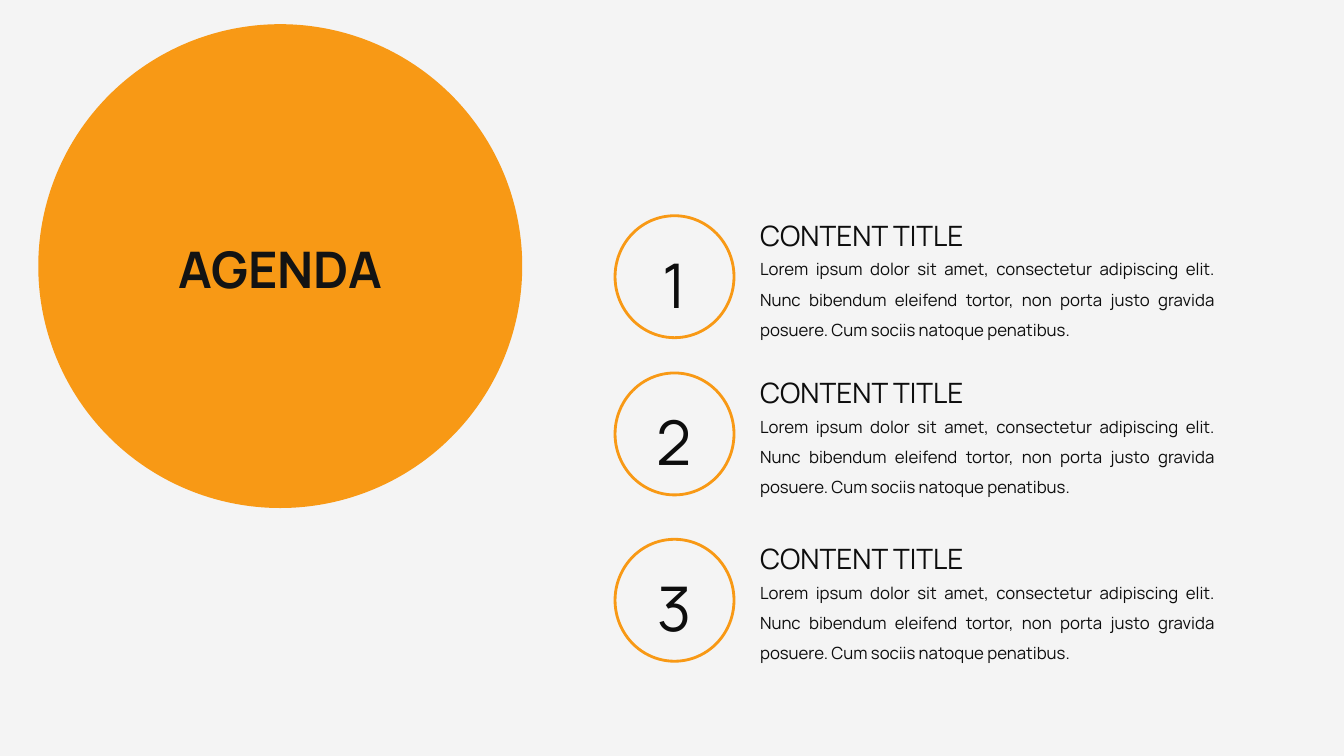
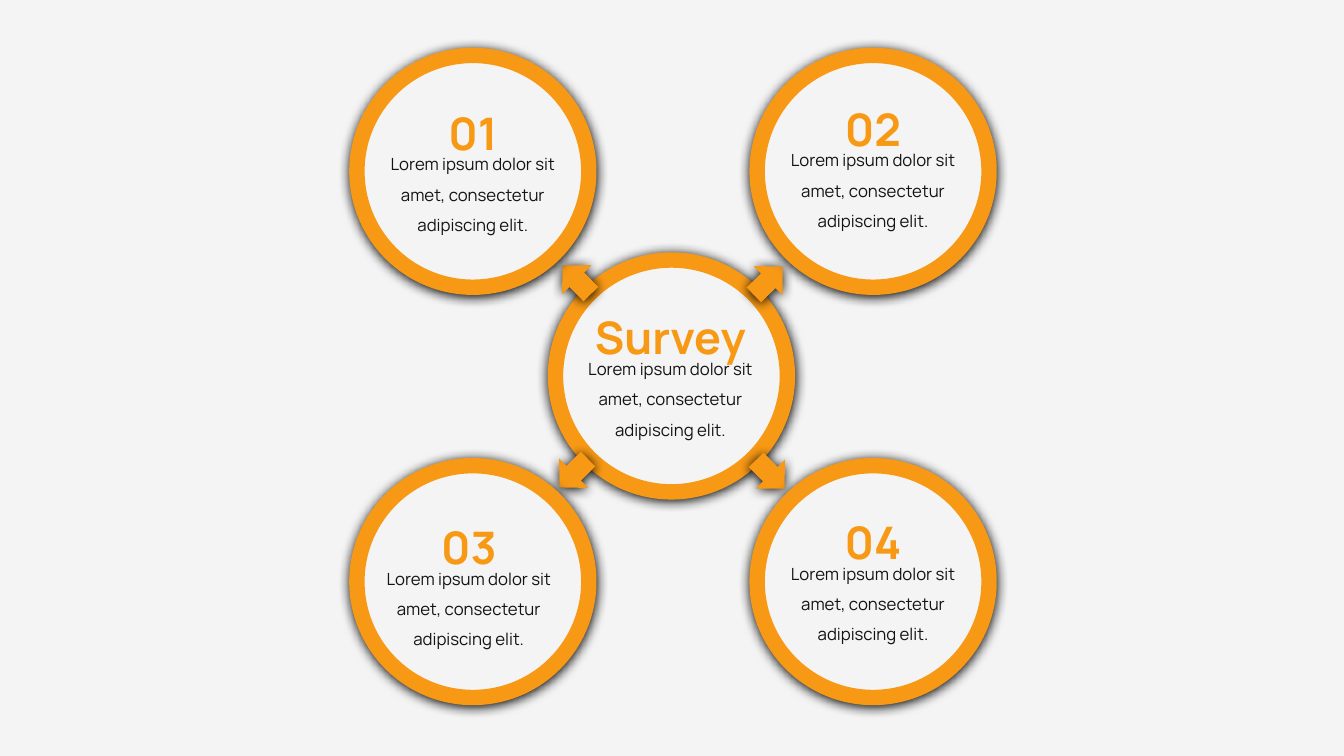
"""Build an agenda slide and a survey slide with a shared orange circle style."""
from lxml.etree import SubElement
from pptx import Presentation
from pptx.dml.color import RGBColor
from pptx.enum.shapes import MSO_SHAPE as Shape
from pptx.enum.text import MSO_AUTO_SIZE as AutoSize, PP_ALIGN as Align
from pptx.oxml.ns import qn
from pptx.util import Pt

PX = 9144
ORANGE = RGBColor(0xF8, 0x99, 0x15)
PAPER = RGBColor(0xF4, 0xF4, 0xF4)
INK = RGBColor(0x0D, 0x0D, 0x0D)
CHARCOAL = RGBColor(0x13, 0x13, 0x13)

AGENDA_TITLE = {"size": Pt(36), "bold": True, "color": CHARCOAL}
NUMBER = {"size": Pt(44), "color": INK}
CONTENT_TITLE = {"size": Pt(20), "color": INK}
CONTENT_BODY = {"size": Pt(12), "color": INK}
RING_TITLE = {"size": Pt(32), "bold": True, "color": ORANGE}
RING_BODY = {"size": Pt(12), "color": CHARCOAL}

SHORT_TEXT = "Lorem ipsum dolor sit amet, consectetur adipiscing elit."
LONG_TEXT = (SHORT_TEXT + " Nunc bibendum eleifend tortor, non porta justo "
             "gravida posuere. Cum sociis natoque penatibus.")


def add_figure(slide, kind, box, fill=None, line_width=0, rotation=0, shadow=False):
    shape = slide.shapes.add_shape(kind, *(value * PX for value in box))
    shape.rotation = rotation
    if fill is None:
        shape.fill.background()
    else:
        shape.fill.solid()
        shape.fill.fore_color.rgb = fill
    if line_width:
        shape.line.color.rgb = ORANGE
        shape.line.width = Pt(line_width)
    else:
        shape.line.fill.background()
    shape.shadow.inherit = False
    if shadow:
        effects = shape._element.spPr.find(qn("a:effectLst"))
        outer = SubElement(effects, qn("a:outerShdw"), blurRad=str(Pt(8.5)), dist=str(Pt(1)),
                           dir="5400000", algn="t", rotWithShape="0")
        SubElement(outer, qn("a:srgbClr"), val="000000")


def add_text(slide, text, box, style, align=Align.CENTER):
    frame = slide.shapes.add_textbox(*(value * PX for value in box)).text_frame
    frame.word_wrap = True
    frame.auto_size = AutoSize.SHAPE_TO_FIT_TEXT
    paragraph = frame.paragraphs[0]
    paragraph.alignment = align
    paragraph.line_spacing = 1.5
    run = paragraph.add_run()
    run.text = text
    run.font.name = "Manrope"
    for name, value in style.items():
        if name == "color":
            run.font.color.rgb = value
        else:
            setattr(run.font, name, value)


presentation = Presentation()
presentation.slide_width = 1333 * PX
presentation.slide_height = 750 * PX
slides = []
for _ in range(2):
    slide = presentation.slides.add_slide(presentation.slide_layouts[6])
    slide.background.fill.solid()
    slide.background.fill.fore_color.rgb = PAPER
    slides.append(slide)
agenda, survey = slides

for number, top in enumerate((214, 370, 535), start=1):
    add_figure(agenda, Shape.OVAL, (610, top, 118, 121), line_width=2)
    add_text(agenda, str(number), (610, top - 11, 118, 108), NUMBER)
    add_text(agenda, LONG_TEXT, (744, top + 28, 471, 101), CONTENT_BODY, Align.JUSTIFY)
    add_text(agenda, "CONTENT TITLE", (744, top - 19, 471, 61), CONTENT_TITLE, Align.JUSTIFY)

add_figure(agenda, Shape.OVAL, (38, 24, 480, 480), fill=ORANGE)
add_text(agenda, "AGENDA", (38, 201, 480, 90), AGENDA_TITLE)

RING_SIZE = 230
ring_places = [(551, 258)] + [(left, top) for top in (462, 55) for left in (751, 354)]
arrows = [(742, 258, 315.4), (552, 257, 225.4), (744, 450, 45.4), (549, 449, 135.4)]
ring_labels = [
    ("Survey", 550, 276),
    ("01", 354, 73),
    ("02", 751, 69),
    ("03", 350, 484),
    ("04", 751, 479),
]

for index, (left, top) in enumerate(ring_places):
    add_figure(survey, Shape.OVAL, (left, top, RING_SIZE, RING_SIZE),
               fill=PAPER, line_width=11, shadow=True)
    if index == 0:
        for arrow_left, arrow_top, rotation in arrows:
            add_figure(survey, Shape.RIGHT_ARROW, (arrow_left, arrow_top, 40, 41),
                       fill=ORANGE, rotation=rotation, shadow=True)

for label, left, top in ring_labels:
    add_text(survey, SHORT_TEXT, (left, top + 65, RING_SIZE, 101), RING_BODY)
    add_text(survey, label, (left, top, RING_SIZE, 81), RING_TITLE)

presentation.save("out.pptx")
